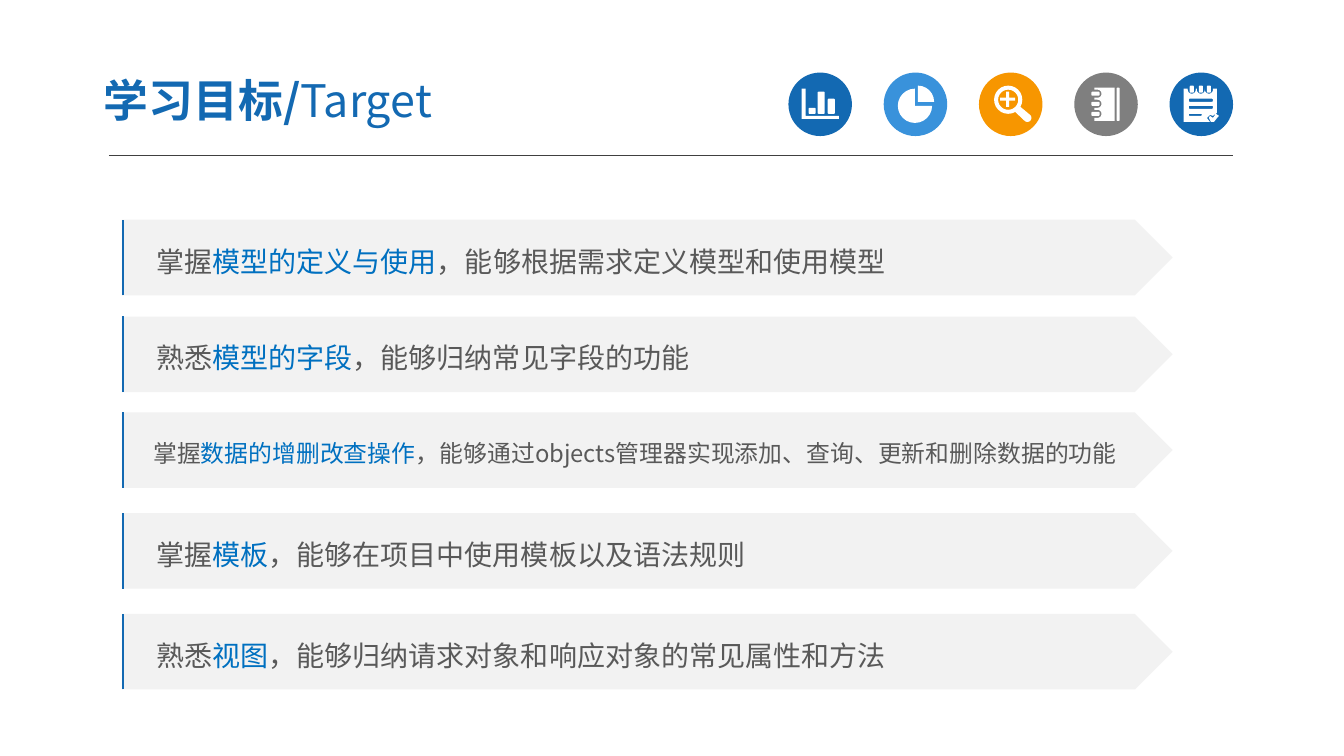
from math import cos, radians, sin

from lxml import etree
from pptx import Presentation
from pptx.dml.color import RGBColor
from pptx.enum.shapes import MSO_CONNECTOR, MSO_SHAPE
from pptx.enum.text import MSO_ANCHOR, PP_ALIGN
from pptx.oxml.ns import qn
from pptx.util import Inches, Pt

OVAL = MSO_SHAPE.OVAL
PENTAGON = MSO_SHAPE.PENTAGON
STRAIGHT = MSO_CONNECTOR.STRAIGHT
MIDDLE = MSO_ANCHOR.MIDDLE
LEFT = PP_ALIGN.LEFT

WHITE = RGBColor(0xFF, 0xFF, 0xFF)
BLUE = RGBColor(0x13, 0x69, 0xB2)
SKY = RGBColor(0x39, 0x92, 0xDB)
ORANGE = RGBColor(0xF7, 0x96, 0x00)
GRAY = RGBColor(0x7F, 0x7F, 0x7F)
RULE = RGBColor(0x40, 0x40, 0x40)
PALE = RGBColor(0xF2, 0xF2, 0xF2)
TEXT = RGBColor(0x59, 0x59, 0x59)
KEYWORD = RGBColor(0x00, 0x70, 0xC0)
FONT = "Noto Sans CJK SC"

deck = Presentation()
deck.slide_width = Inches(13.33)
deck.slide_height = Inches(7.5)
page = deck.slides.add_slide(deck.slide_layouts[6])


def arc_points(x, y, radius, start, end):
    steps = max(3, abs(end - start) // 15)
    angles = [radians(start + (end - start) * i / steps) for i in range(steps + 1)]
    return [(x + radius * cos(a), y + radius * sin(a)) for a in angles]


def add_span(para, text, size, color, bold=False):
    span = para.add_run()
    span.text = text
    span.font.size = Pt(size)
    span.font.bold = bold
    span.font.color.rgb = color
    span.font.name = FONT
    etree.SubElement(span.font._element, qn("a:ea")).set("typeface", FONT)


ICON_LEFT, ICON_TOP, ICON_SIZE = 7.82, 0.72, 0.63
ICON_STEP = (11.6 - ICON_LEFT) / 4
CORNER = 0.01

axes = [(0.13, 0.16), (0.17, 0.16), (0.17, 0.43), (0.5, 0.43), (0.5, 0.46), (0.13, 0.46)]
columns = [(0.2, 0.35, 0.07, 0.06), (0.29, 0.19, 0.07, 0.22), (0.39, 0.26, 0.07, 0.15)]

pie_slice = [(0.34, 0.29)] + arc_points(0.34, 0.29, 0.16, -90, 0)
pie_rest = [(0.31, 0.33)] + arc_points(0.31, 0.33, 0.17, 0, 270)

magnifier = arc_points(0.29, 0.27, 0.14, 60, 390) + arc_points(0.48, 0.45, 0.04, -45, 135)
lens = arc_points(0.29, 0.27, 0.1, 0, 360)
plus = [(0.21, 0.25), (0.27, 0.25), (0.27, 0.19), (0.3, 0.19), (0.3, 0.25), (0.36, 0.25),
        (0.36, 0.28), (0.3, 0.28), (0.3, 0.34), (0.27, 0.34), (0.27, 0.28), (0.21, 0.28)]

cover = [(0.2, 0.15), (0.4, 0.15), (0.4, 0.48), (0.2, 0.48)]
binding = [(0.42, 0.15, 0.03, 0.33)]
for ring_y in (0.41, 0.31, 0.21):
    cover += [(0.2, ring_y + 0.04)] + arc_points(0.23, ring_y, 0.04, 90, -90)
    cover.append((0.2, ring_y - 0.04))
    binding.append((0.17, ring_y - 0.02, 0.08, 0.04))

sheet = [(0.14, 0.16)]
sheet_marks = [(0.19, 0.26, 0.24, 0.03), (0.19, 0.33, 0.24, 0.03), (0.19, 0.41, 0.13, 0.02)]
for ring_x in (0.22, 0.31, 0.39):
    sheet += [(ring_x - 0.04, 0.16)] + arc_points(ring_x, 0.17, 0.04, 180, 0)
    sheet.append((ring_x + 0.04, 0.16))
    sheet_marks.append((ring_x - 0.02, 0.13, 0.04, 0.07))
sheet += [(0.47, 0.16), (0.47, 0.4), (0.43, 0.43), (0.4, 0.42), (0.37, 0.45),
          (0.4, 0.49), (0.14, 0.49)]
check = [(0.48, 0.44), (0.44, 0.49), (0.41, 0.49), (0.39, 0.45), (0.4, 0.43),
         (0.43, 0.45), (0.46, 0.41), (0.49, 0.43)]

icons = [
    (BLUE, [axes], columns),
    (SKY, [pie_slice, pie_rest], []),
    (ORANGE, [magnifier, lens, plus], []),
    (GRAY, [cover], binding),
    (BLUE, [sheet, check], sheet_marks),
]
painted = []
for index, (color, outlines, blocks) in enumerate(icons):
    icon_left = ICON_LEFT + index * ICON_STEP
    disc = page.shapes.add_shape(
        OVAL, Inches(icon_left), Inches(ICON_TOP), Inches(ICON_SIZE), Inches(ICON_SIZE))
    painted.append((disc, color))

    contours = list(outlines)
    for left, top, width, height in blocks:
        right, bottom = left + width - CORNER, top + height - CORNER
        contours.append(
            arc_points(left + CORNER, top + CORNER, CORNER, 180, 270)
            + arc_points(right, top + CORNER, CORNER, 270, 360)
            + arc_points(right, bottom, CORNER, 0, 90)
            + arc_points(left + CORNER, bottom, CORNER, 90, 180))
    builder = None
    for contour in contours:
        points = [(Inches(icon_left + x), Inches(ICON_TOP + y)) for x, y in contour]
        if builder is None:
            builder = page.shapes.build_freeform(*points[0], scale=1.0)
        else:
            builder.move_to(*points[0])
        builder.add_line_segments(points[1:], close=True)
    painted.append((builder.convert_to_shape(), WHITE))

title = page.shapes.add_textbox(Inches(0.9), Inches(0.63), Inches(5.22), Inches(0.72))
frame = title.text_frame
frame.word_wrap = True
frame.vertical_anchor = MIDDLE
frame.margin_left = frame.margin_right = Inches(0.13)
frame.margin_top = frame.margin_bottom = Inches(0.07)
add_span(frame.paragraphs[0], "学习目标/", 32, BLUE, True)
add_span(frame.paragraphs[0], "Target", 32, BLUE)

BAR_HEIGHT = 0.75
goals = [
    (2.18, 20, 0.34, "掌握", "模型的定义与使用", "，能够根据需求定义模型和使用模型"),
    (3.14, 20, 0.34, "熟悉", "模型的字段", "，能够归纳常见字段的功能"),
    (4.09, 17, 0.31, "掌握", "数据的增删改查操作",
     "，能够通过objects管理器实现添加、查询、更新和删除数据的功能"),
    (5.09, 20, 0.34, "掌握", "模板", "，能够在项目中使用模板以及语法规则"),
    (6.09, 20, 0.34, "熟悉", "视图", "，能够归纳请求对象和响应对象的常见属性和方法"),
]
lines = [(1.08, 1.54, 12.23, 1.54, RULE, 0.75)]
for top, size, indent, verb, keyword, detail in goals:
    bar = page.shapes.add_shape(
        PENTAGON, Inches(1.21), Inches(top), Inches(10.42), Inches(BAR_HEIGHT))
    painted.append((bar, PALE))
    frame = bar.text_frame
    frame.word_wrap = True
    frame.vertical_anchor = MIDDLE
    frame.margin_left = Inches(indent)
    para = frame.paragraphs[0]
    para.alignment = LEFT
    para.line_spacing = 1.2
    add_span(para, verb, size, TEXT)
    add_span(para, keyword, size, KEYWORD)
    add_span(para, detail, size, TEXT)
    lines.append((1.22, top + BAR_HEIGHT, 1.22, top, BLUE, 1.5))

for shape, color in painted:
    shape.shadow.inherit = False
    shape.fill.solid()
    shape.fill.fore_color.rgb = color
    shape.line.fill.background()

for x1, y1, x2, y2, color, weight in lines:
    line = page.shapes.add_connector(
        STRAIGHT, Inches(x1), Inches(y1), Inches(x2), Inches(y2))
    line.line.color.rgb = color
    line.line.width = Pt(weight)
    etree.SubElement(line._element.spPr, qn("a:effectLst"))

deck.save("out.pptx")
